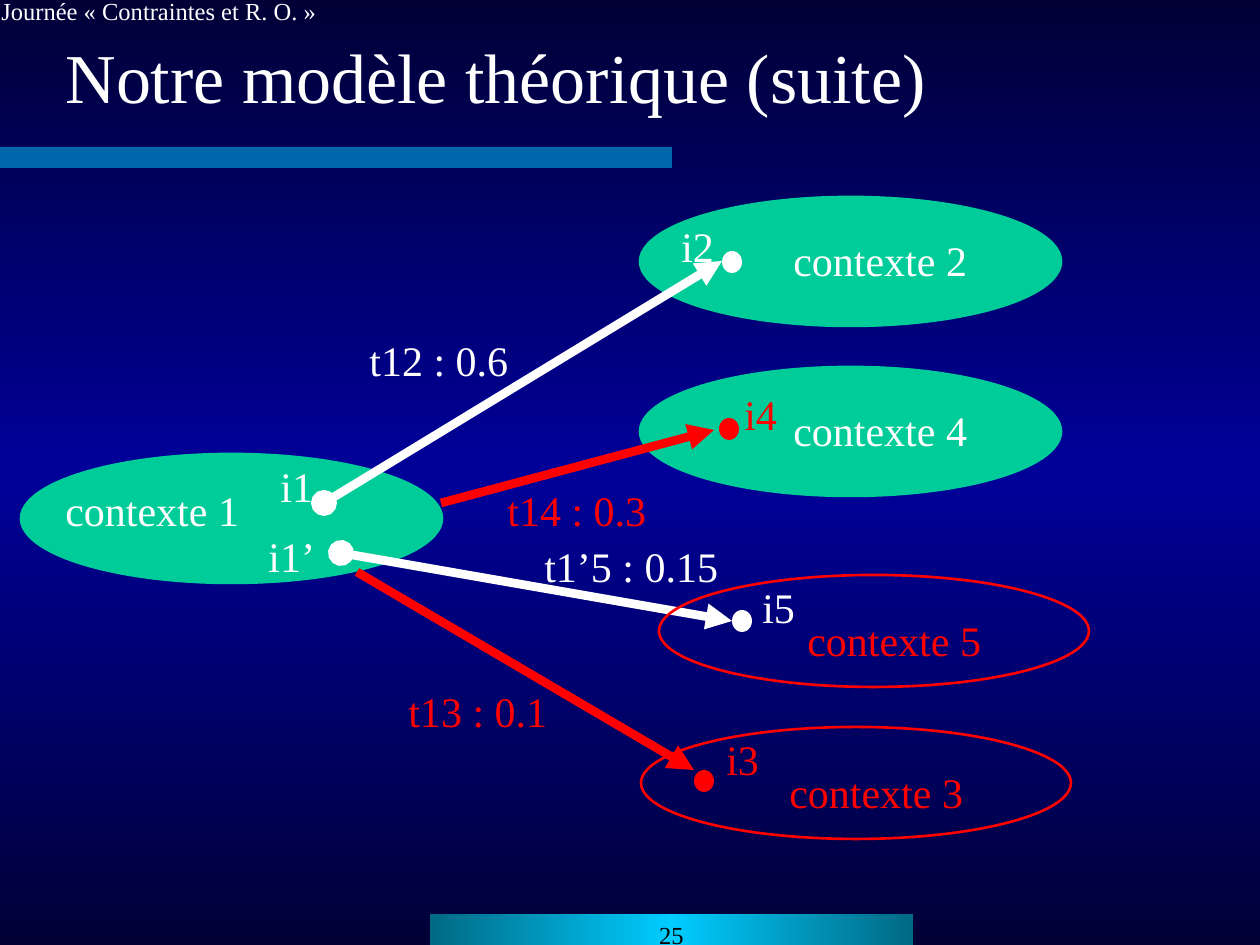
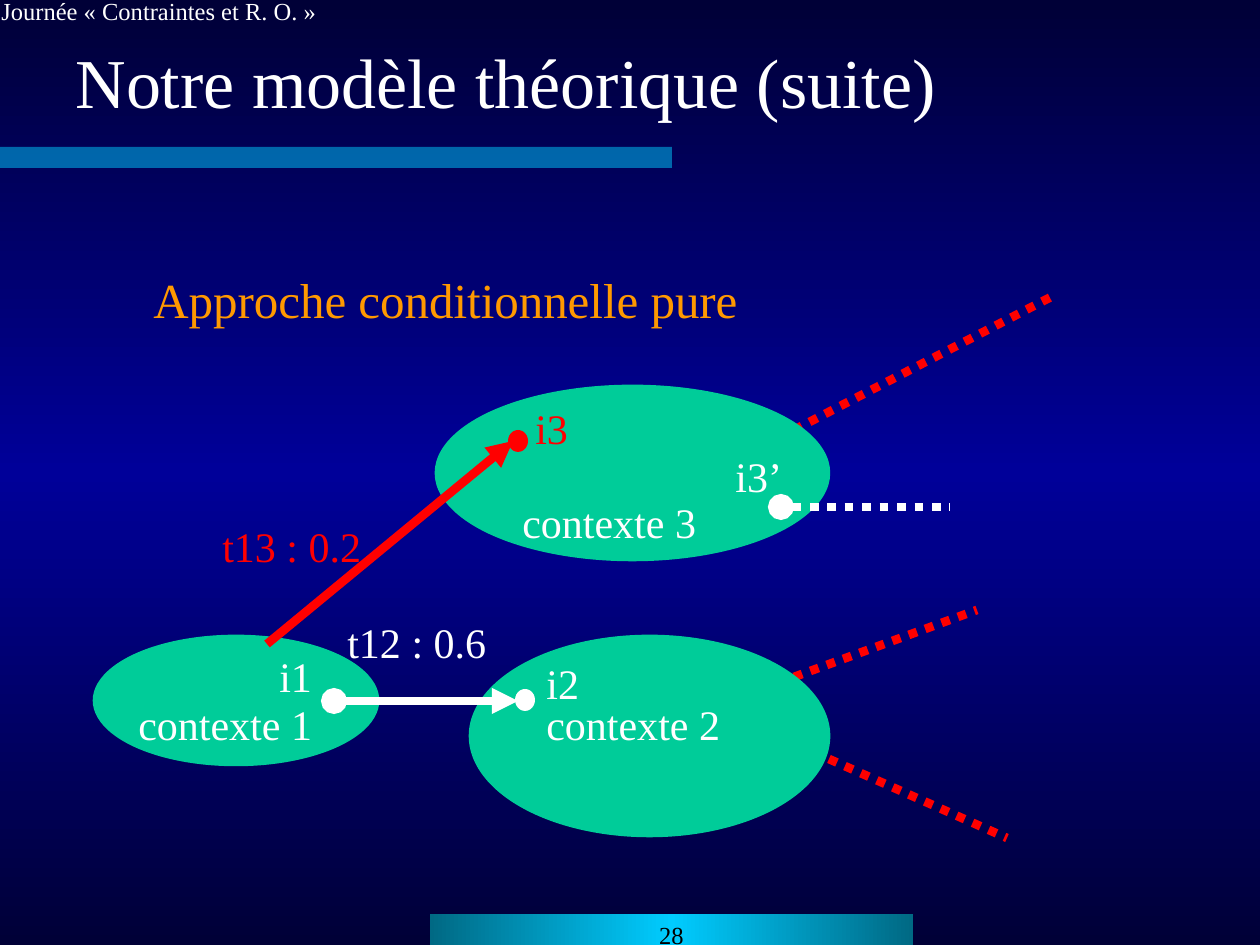
import lxml.etree
import copy
import pptx
import pptx.util
import pptx.dml.color
import pptx.enum.dml
import pptx.enum.shapes
import pptx.enum.text
import pptx.oxml.ns

EMU_PER_PX = 914400 / 126
FONT = "Times New Roman"
WHITE, BLACK, RED = "FFFFFF", "000000", "FF0000"
GREEN, ORANGE, CYAN = "00CC99", "FF9900", "00CCFF"
NIGHT, BLUE, TEAL = "000037", "000099", "006984"
RECTANGLE = pptx.enum.shapes.MSO_SHAPE.RECTANGLE
OVAL = pptx.enum.shapes.MSO_SHAPE.OVAL
TITLE_ONLY = 5


def px(*lengths):
    """Turn px lengths into a list of EMU lengths."""
    return [pptx.util.Emu(round(length * EMU_PER_PX)) for length in lengths]


def rgb(code):
    """Turn a hex string into a colour."""
    return pptx.dml.color.RGBColor.from_string(code)


def qn(tag):
    """Give the qualified name of a prefixed tag."""
    return pptx.oxml.ns.qn(tag)


def write(frame, text, size=24, color=WHITE, align="LEFT", anchor="TOP"):
    """Write one formatted paragraph into a text frame."""
    frame.word_wrap = True
    frame.auto_size = pptx.enum.text.MSO_AUTO_SIZE.NONE
    frame.vertical_anchor = getattr(pptx.enum.text.MSO_ANCHOR, anchor)
    paragraph = frame.paragraphs[0]
    paragraph.text = text
    paragraph.alignment = getattr(pptx.enum.text.PP_ALIGN, align)
    paragraph.font.name = FONT
    paragraph.font.size = pptx.util.Pt(size)
    paragraph.font.color.rgb = rgb(color)


def add_label(slide, text, left, top, width=90, height=47, **text_format):
    """Place a text box."""
    box = slide.shapes.add_textbox(*px(left, top, width, height))
    write(box.text_frame, text, **text_format)


def add_figure(slide, kind, bounds, fill=None, line=None):
    """Add a flat preset shape with an optional fill and outline."""
    figure = slide.shapes.add_shape(kind, *px(*bounds))
    figure.shadow.inherit = False
    if fill:
        figure.fill.solid()
        figure.fill.fore_color.rgb = rgb(fill)
    else:
        figure.fill.background()
    if line:
        figure.line.color.rgb = rgb(line)
        figure.line.width = pptx.util.Pt(1.5)
    else:
        figure.line.fill.background()
    return figure


def fill_gradient(fill, element, edge, middle, angle):
    """Fill with a gradient that runs from edge to middle and back."""
    fill.gradient()
    fill.gradient_angle = angle
    first_stop = element.find(".//" + qn("a:gsLst"))[0]
    first_stop.addnext(copy.deepcopy(first_stop))
    for stop, position, color in zip(fill.gradient_stops, (0, 0.5, 1), (edge, middle, edge)):
        stop.position = position
        stop.color.rgb = rgb(color)


def add_context(slide, name, bounds, label_offset, reached=True):
    """Draw a context: green when reached, outlined in red otherwise."""
    add_figure(slide, OVAL, bounds, GREEN if reached else None, GREEN if reached else RED)
    add_label(slide, name, bounds[0] + label_offset[0], bounds[1] + label_offset[1],
              width=229, height=66, color=WHITE if reached else RED)


def add_link(slide, start, end, color=RED, dotted=False, head=None, tail=None):
    """Draw a thick line with optional ends."""
    straight = pptx.enum.shapes.MSO_CONNECTOR.STRAIGHT
    link = slide.shapes.add_connector(straight, *px(*start, *end))
    link.line.color.rgb = rgb(color)
    link.line.width = pptx.util.Pt(5)
    if dotted:
        link.line.dash_style = pptx.enum.dml.MSO_LINE.ROUND_DOT
    properties = link.element.spPr
    outline = properties.find(qn("a:ln"))
    for tag, end_type in (("a:headEnd", head), ("a:tailEnd", tail)):
        if end_type:
            lxml.etree.SubElement(outline, qn(tag), type=end_type)
    lxml.etree.SubElement(properties, qn("a:effectLst"))


def add_transition(slide, text, label_at, start, end, color=RED, head=None):
    """Draw an arrow between contexts with its probability."""
    add_link(slide, start, end, color, head=head, tail="triangle")
    add_label(slide, text, *label_at, width=200, color=color)


def add_instant(slide, name, label_at, dot_at=None, color=WHITE):
    """Name an instant and mark it with a dot when it has its own."""
    add_label(slide, name, *label_at, color=color)
    if dot_at:
        add_figure(slide, OVAL, (*dot_at, 20, 22), color)


def add_model_slide(deck, number, title_bounds):
    """Add a slide with the shared background, bands, header and title."""
    slide = deck.slides.add_slide(deck.slide_layouts[TITLE_ONLY])
    fill_gradient(slide.background.fill, slide.element, NIGHT, BLUE, 90)
    title_band = add_figure(slide, RECTANGLE, (0, 147, 672, 21), CYAN)
    band_color = title_band.element.spPr.find(".//" + qn("a:srgbClr"))
    lxml.etree.SubElement(band_color, qn("a:alpha"), val="50000")
    number_band = add_figure(slide, RECTANGLE, (430, 914, 483, 31))
    fill_gradient(number_band.fill, number_band.element, TEAL, CYAN, 0)
    write(number_band.text_frame, str(number), size=14, color=BLACK, align="CENTER")
    add_label(slide, "Journée « Contraintes et R. O. »", -11, -10, 350, 42, size=14)
    title = slide.shapes.title
    title.left, title.top, title.width, title.height = px(*title_bounds)
    write(title.text_frame, "Notre modèle théorique (suite)", size=40, anchor="MIDDLE")
    return slide


def build_transitions_slide(deck):
    """Show the transitions that leave context 1."""
    slide = add_model_slide(deck, 25, (53, 32, 945, 88))
    add_context(slide, "contexte 1", (21, 454, 421, 129), (32, 24))
    for name, top in (("contexte 2", 197), ("contexte 4", 367)):
        add_context(slide, name, (640, top, 421, 129), (141, 31))

    add_transition(slide, "t12 : 0.6", (357, 328), (324, 503), (722, 261), WHITE, "oval")
    add_transition(slide, "t14 : 0.3", (495, 478), (441, 503), (714, 430))
    add_transition(slide, "t1’5 : 0.15", (532, 534), (341, 553), (732, 621), WHITE, "oval")
    add_transition(slide, "t13 : 0.1", (396, 679), (357, 572), (694, 770))

    for name, left, top in (("contexte 5", 659, 575), ("contexte 3", 641, 727)):
        add_context(slide, name, (left, top, 430, 112), (136, 33), reached=False)

    add_instant(slide, "i1", (268, 454))
    add_instant(slide, "i1’", (256, 524))
    add_instant(slide, "i2", (669, 214), (722, 251))
    add_instant(slide, "i3", (714, 727), (694, 770), RED)
    add_instant(slide, "i4", (732, 382), (719, 418), RED)
    add_instant(slide, "i5", (750, 575), (732, 610))


def build_conditional_slide(deck):
    """Show the purely conditional approach."""
    slide = add_model_slide(deck, 28, (63, 32, 886, 97))
    add_label(slide, "Approche conditionnelle pure", 141, 263, 866, 72, size=28, color=ORANGE)
    for start, end in (
        ((794, 677), (977, 610)),
        ((794, 430), (1053, 296)),
        ((829, 759), (1007, 838)),
    ):
        add_link(slide, start, end, dotted=True)

    add_context(slide, "contexte 1", (94, 636, 284, 129), (32, 56))
    add_context(slide, "contexte 2", (470, 636, 359, 200), (64, 56))
    add_context(slide, "contexte 3", (436, 386, 393, 174), (74, 104))

    add_transition(slide, "t12 : 0.6", (335, 610), (334, 701), (518, 701), WHITE, "oval")
    add_transition(slide, "t13 : 0.2", (210, 514), (267, 644), (513, 441))
    add_link(slide, (781, 507), (950, 507), WHITE, dotted=True, head="oval")

    add_instant(slide, "i1", (267, 644))
    add_instant(slide, "i2", (534, 651), (515, 689))
    add_instant(slide, "i3", (523, 396), (508, 430), RED)
    add_instant(slide, "i3’", (723, 444))


def main():
    """Build and save the presentation."""
    deck = pptx.Presentation()
    deck.slide_width, deck.slide_height = px(1260, 945)
    build_transitions_slide(deck)
    build_conditional_slide(deck)
    deck.save("out.pptx")


if __name__ == "__main__":
    main()
